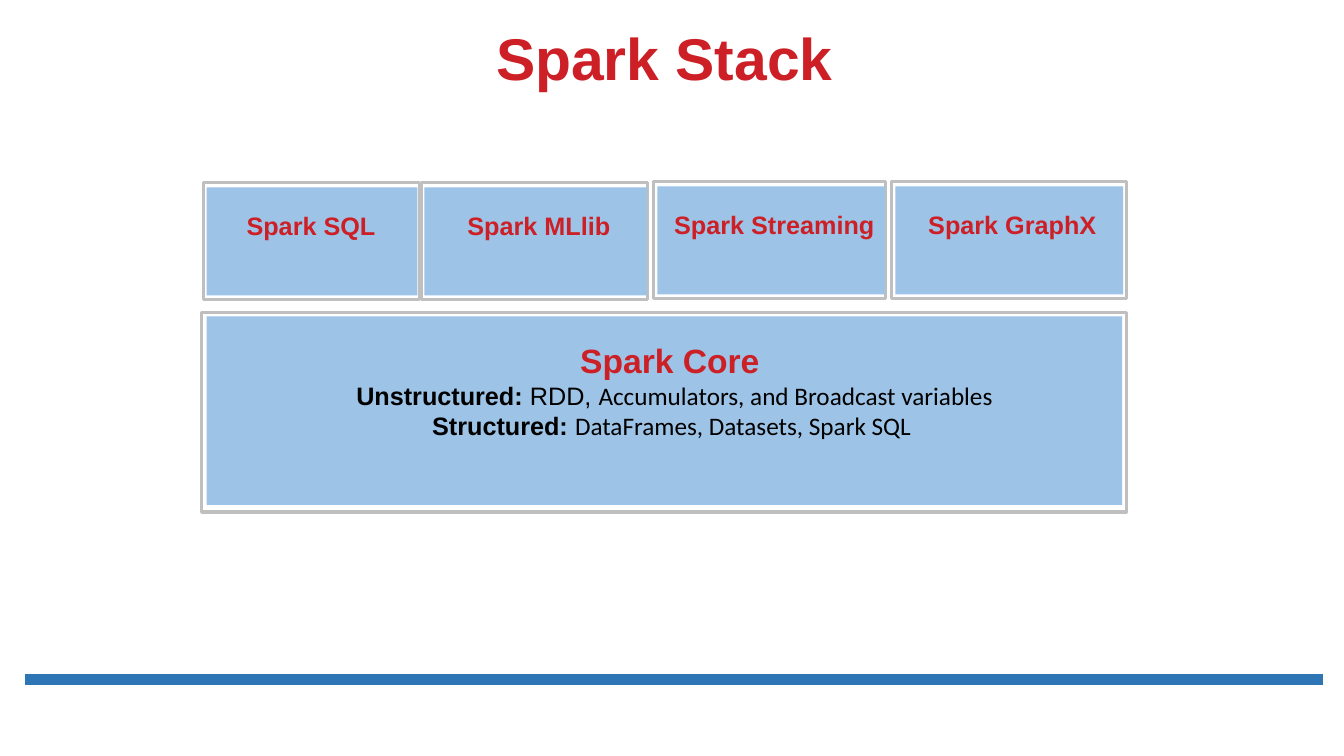
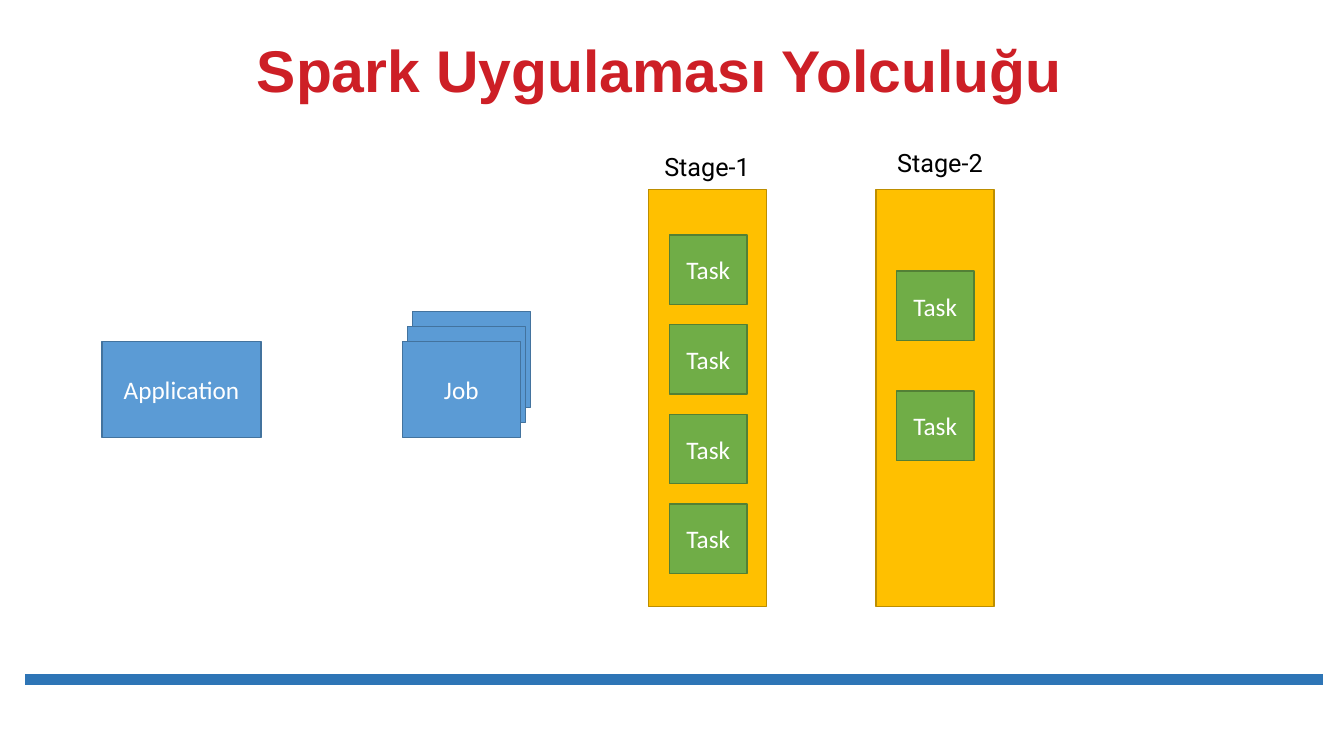
"""Build two slides on the Spark stack and the journey of a Spark application."""
from dataclasses import dataclass
from typing import Any, NamedTuple, Optional, Union

from lxml.etree import SubElement
from pptx import Presentation
from pptx.dml.color import RGBColor
from pptx.enum.shapes import MSO_CONNECTOR as Connector, MSO_SHAPE as Preset
from pptx.enum.text import MSO_ANCHOR as Anchor, PP_ALIGN as Align
from pptx.oxml.ns import qn
from pptx.presentation import Presentation as Deck
from pptx.shapes.shapetree import GroupShapes, SlideShapes
from pptx.slide import Slide
from pptx.util import Inches, Pt

Canvas = Union[SlideShapes, GroupShapes]


@dataclass(frozen=True)
class Theme:
    red: str = "CD1F26"
    black: str = "000000"
    white: str = "FFFFFF"
    band: str = "2E75B6"
    frame: str = "BFBFBF"
    face: str = "9DC3E6"
    heading_font: str = "Arial"
    body_font: str = "Calibri"
    label_font: str = "Roboto"
    title_size: int = 42
    core_size: int = 24
    body_size: int = 18


THEME = Theme()


class Area(NamedTuple):
    left: float
    top: float
    width: float
    height: float


class Paint(NamedTuple):
    fill: str
    line: Optional[str] = None
    weight: float = 1


class Span(NamedTuple):
    text: str
    color: str
    font: str
    size: int = THEME.body_size
    bold: bool = False


class Tile(NamedTuple):
    label: str
    left: float
    top: float
    width: float
    face_left: float
    face_width: float
    label_width: float


class Stage(NamedTuple):
    label: str
    left: float
    label_left: float
    label_top: float
    task_left: float
    task_top: float
    task_pitch: float
    task_count: int


FRAME = Paint(THEME.white, THEME.frame, 2.25)
FACE = Paint(THEME.face)
STAGE = Paint("FFC000", "BD8E00")
TASK = Paint("70AD47", "538035")
JOB = Paint("5B9BD5", "43739E")

TILES = [
    Tile("Spark SQL", 2.02, 1.81, 2.14, 2.05, 2.09, 2.03),
    Tile("Spark MLlib", 4.18, 1.81, 2.24, 4.21, 2.21, 2.23),
    Tile("Spark Streaming", 6.48, 1.8, 2.3, 6.52, 2.26, 2.28),
    Tile("Spark GraphX", 8.84, 1.8, 2.33, 8.88, 2.26, 2.28),
]

STAGES = [
    Stage("Stage-1", 6.43, 6.49, 1.45, 6.64, 2.33, 0.89, 4),
    Stage("Stage-2", 8.69, 8.8, 1.41, 8.89, 2.69, 1.19, 2),
]


def assign(target: Any, values: dict[str, Any]) -> None:
    for name, value in values.items():
        setattr(target, name, value)


def color(code: str) -> RGBColor:
    return RGBColor.from_string(code)


def emu(area: Area) -> list[int]:
    return [Inches(length) for length in area]


def heading(text: str, size: int = THEME.body_size, ink: str = THEME.red) -> Span:
    return Span(text, ink, THEME.heading_font, size, True)


def body(text: str, ink: str = THEME.black, font: str = THEME.body_font) -> Span:
    return Span(text, ink, font)


def write(box: Any, paras: list[list[Span]], align: Align = Align.CENTER,
          anchor: Anchor = Anchor.TOP, spacing: float = 1.0) -> None:
    frame = box.text_frame
    assign(frame, {"word_wrap": True, "vertical_anchor": anchor})
    for index, spans in enumerate(paras):
        para = frame.add_paragraph() if index else frame.paragraphs[0]
        assign(para, {"alignment": align, "line_spacing": spacing})
        for span in spans:
            run = para.add_run()
            run.text = span.text
            assign(run.font, {"name": span.font, "size": Pt(span.size), "bold": span.bold})
            run.font.color.rgb = color(span.color)


def add_text(canvas: Canvas, area: Area, paras: list[list[Span]], **layout: Any) -> None:
    write(canvas.add_textbox(*emu(area)), paras, **layout)


def add_box(canvas: Canvas, area: Area, paint: Paint, label: str = "") -> None:
    box = canvas.add_shape(Preset.RECTANGLE, *emu(area))
    box.shadow.inherit = False
    box.fill.solid()
    box.fill.fore_color.rgb = color(paint.fill)
    if paint.line:
        box.line.color.rgb = color(paint.line)
        box.line.width = Pt(paint.weight)
    else:
        box.line.fill.background()
    if label:
        write(box, [[body(label, THEME.white)]], anchor=Anchor.MIDDLE)


def add_page(deck: Deck, title: str, left: float, top: float) -> Slide:
    page = deck.slides.add_slide(deck.slide_layouts[6])
    ends = [Inches(length) for length in (0.25, 6.74, 13.12, 6.74)]
    band = page.shapes.add_connector(Connector.STRAIGHT, *ends)
    band.line.color.rgb = color(THEME.band)
    band.line.width = Pt(8)
    SubElement(band._element.spPr, qn("a:effectLst"))
    add_text(page.shapes, Area(left, top, 10, 0.74), [[heading(title, THEME.title_size)]],
             anchor=Anchor.BOTTOM, spacing=0.9)
    return page


def add_core(canvas: Canvas) -> None:
    add_box(canvas, Area(2, 3.1, 9.17, 1.98), FRAME)
    add_box(canvas, Area(2.05, 3.14, 9.08, 1.87), FACE)
    add_text(canvas, Area(2.24, 3.32, 8.9, 1.11), [
        [heading("Spark Core ", THEME.core_size)],
        [heading("Unstructured:", ink=THEME.black), body(" RDD, ", font=THEME.heading_font),
         body("Accumulators, and Broadcast variables")],
        [heading("Structured: ", ink=THEME.black), body("DataFrames, Datasets, Spark SQL ")],
    ])


def add_tile(canvas: Canvas, tile: Tile) -> None:
    add_box(canvas, Area(tile.left, tile.top, tile.width, 1.16), FRAME)
    add_box(canvas, Area(tile.face_left, tile.top + 0.05, tile.face_width, 1.07), FACE)
    add_text(canvas, Area(tile.face_left + 0.02, tile.top + 0.23, tile.label_width, 0.65),
             [[heading(tile.label)]])


def add_stage(canvas: Canvas, stage: Stage) -> None:
    add_box(canvas, Area(stage.left, 1.88, 1.17, 4.14), STAGE)
    for index in range(stage.task_count):
        top = stage.task_top + index * stage.task_pitch
        add_box(canvas, Area(stage.task_left, top, 0.77, 0.69), TASK, "Task")
    add_text(canvas, Area(stage.label_left, stage.label_top, 1.12, 0.4),
             [[body(stage.label, font=THEME.label_font)]], align=Align.LEFT)


def add_jobs(canvas: Canvas) -> None:
    for depth in (2, 1, 0):
        area = Area(3.99 + 0.05 * depth, 3.39 - 0.15 * depth, 1.17, 0.95)
        add_box(canvas, area, JOB, "" if depth else "Job")


def build_stack(deck: Deck) -> None:
    page = add_page(deck, "Spark Stack", 1.59, 0.23)
    stack = page.shapes.add_group_shape().shapes
    add_core(stack)
    for tile in TILES:
        add_tile(stack, tile)


def build_journey(deck: Deck) -> None:
    page = add_page(deck, "Spark Uygulaması Yolculuğu", 1.54, 0.35)
    for stage in STAGES:
        add_stage(page.shapes.add_group_shape().shapes, stage)
    add_box(page.shapes, Area(1.01, 3.39, 1.58, 0.95), JOB, "Application")
    add_jobs(page.shapes.add_group_shape().shapes)


def main() -> None:
    deck = Presentation()
    assign(deck, {"slide_width": Inches(13.33), "slide_height": Inches(7.5)})
    build_stack(deck)
    build_journey(deck)
    deck.save("out.pptx")


main()
